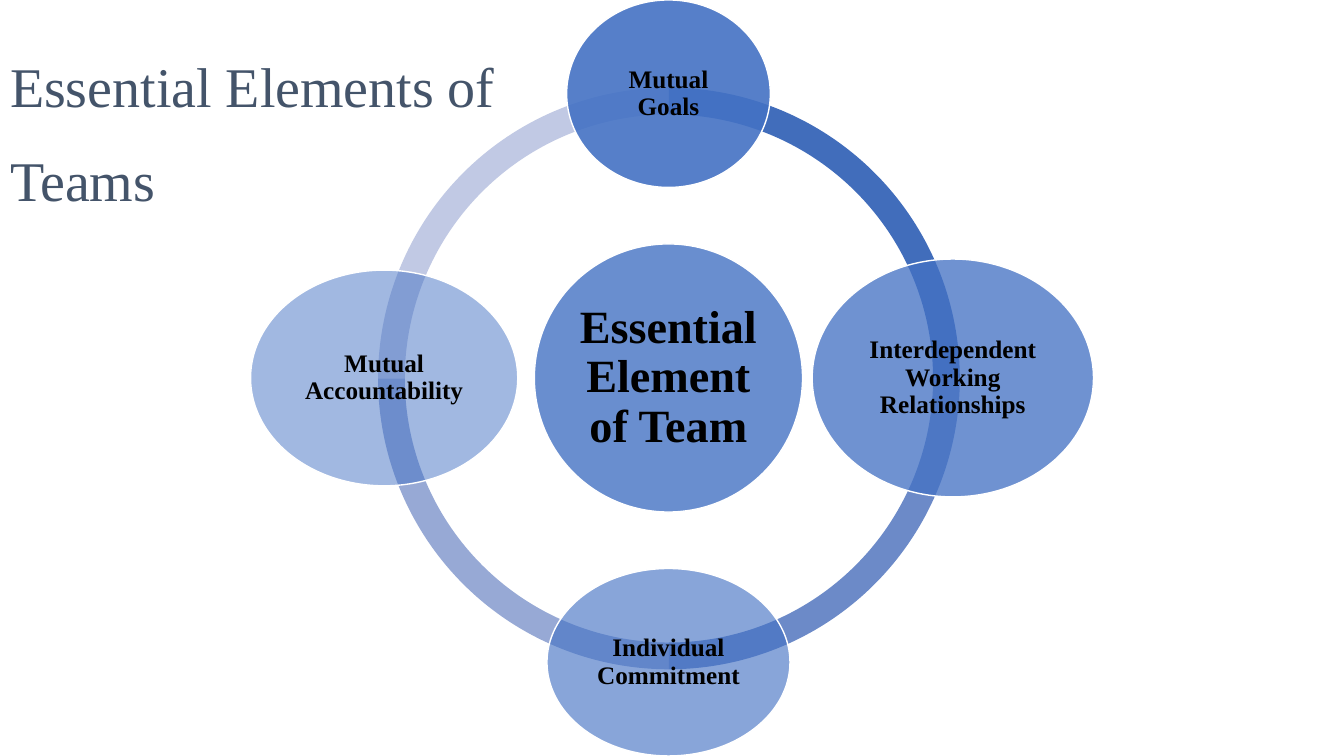
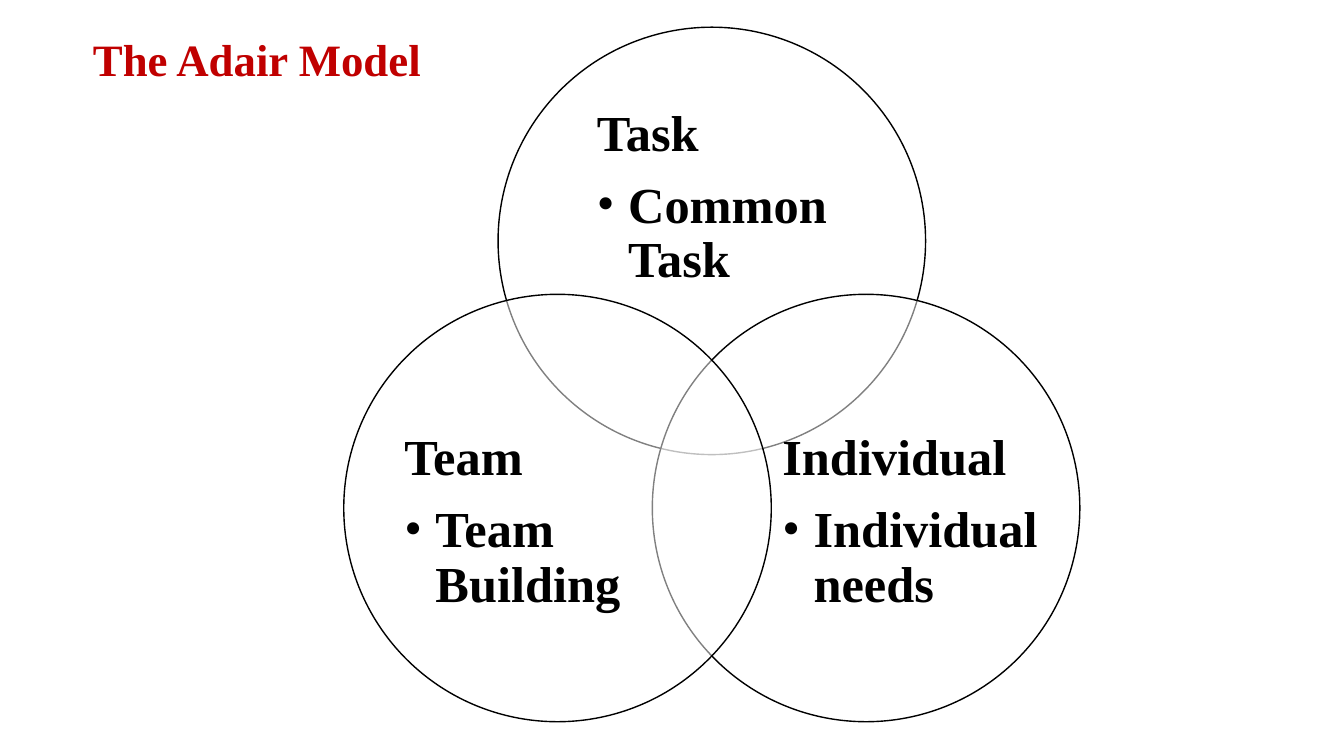
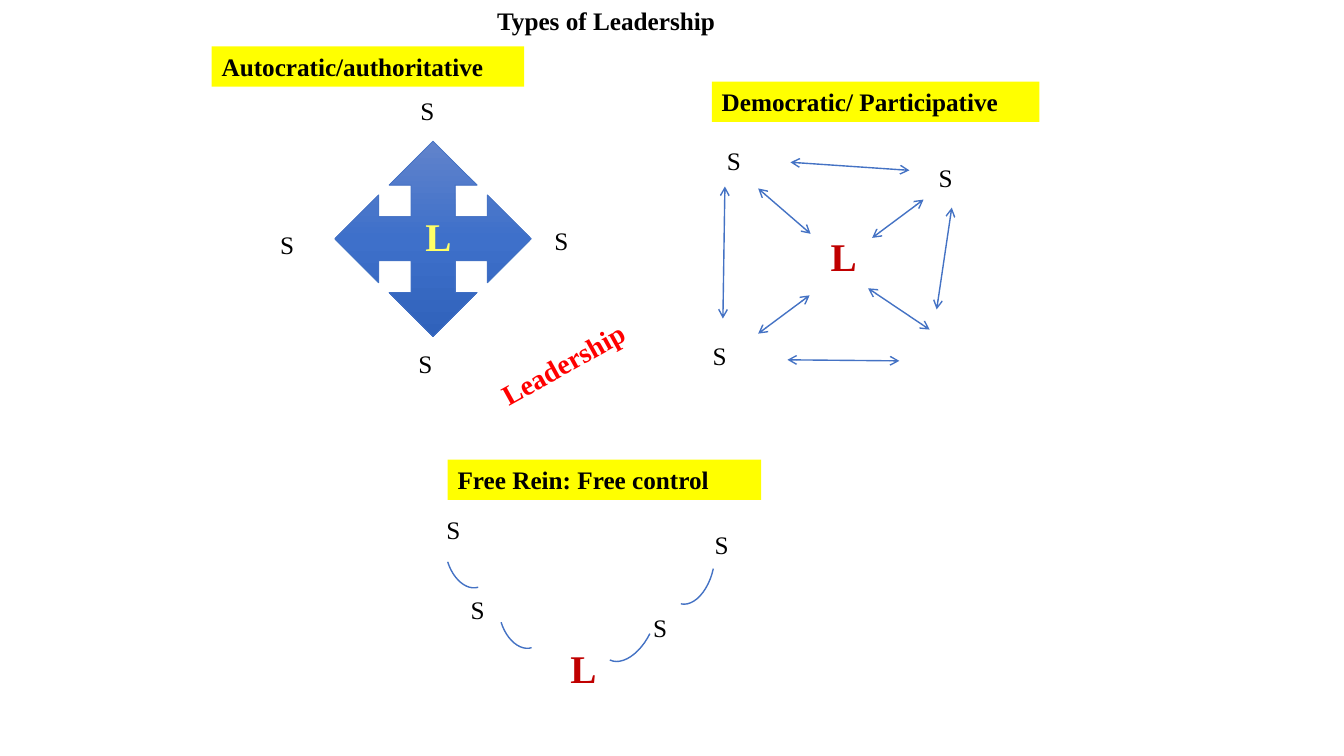
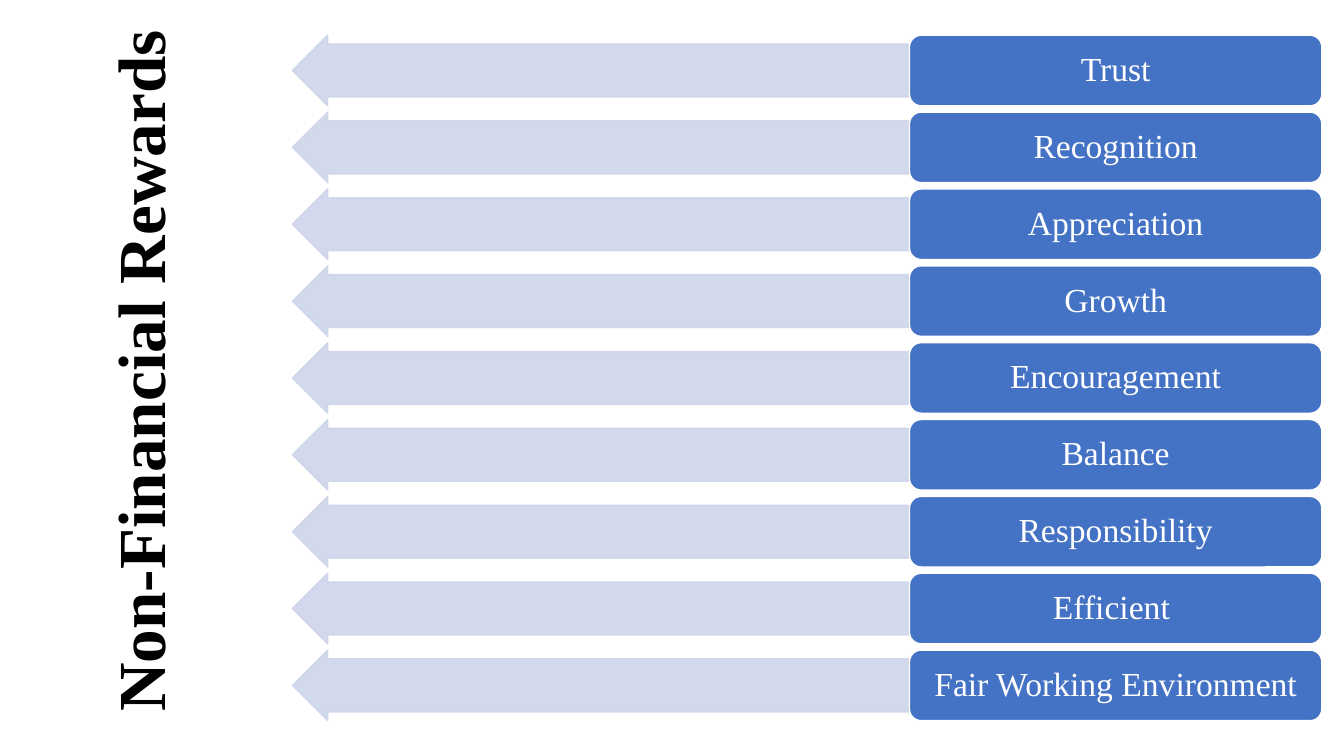
from copy import deepcopy

from lxml.etree import SubElement
from pptx import Presentation
from pptx.dml.color import RGBColor
from pptx.enum.shapes import MSO_CONNECTOR, MSO_SHAPE
from pptx.enum.text import MSO_ANCHOR, MSO_AUTO_SIZE, PP_ALIGN
from pptx.oxml.ns import qn
from pptx.util import Emu, Pt

FONT = "Times New Roman"
BLACK = RGBColor(0x00, 0x00, 0x00)
WHITE = RGBColor(0xFF, 0xFF, 0xFF)
SLATE = RGBColor(0x44, 0x54, 0x6A)
BLUE = RGBColor(0x44, 0x72, 0xC4)
PALE_BLUE = RGBColor(0xCF, 0xD5, 0xEA)
DARK_RED = RGBColor(0xC0, 0x00, 0x00)
RED = RGBColor(0xFF, 0x00, 0x00)
YELLOW = RGBColor(0xFF, 0xFF, 0x00)
LEMON = RGBColor(0xFF, 0xFF, 0x66)
RING_BLUES = (
    RGBColor(0xC1, 0xC9, 0xE4),
    RGBColor(0x97, 0xA9, 0xD5),
    RGBColor(0x6C, 0x8A, 0xC8),
    RGBColor(0x41, 0x6D, 0xBB),
)
ARROW_BLUES = (
    RGBColor(0x61, 0x83, 0xCB),
    RGBColor(0x3E, 0x70, 0xCA),
    RGBColor(0x30, 0x62, 0xBB),
)

EMU_PER_PX = 9144
SLIDE_WIDTH, SLIDE_HEIGHT = 1333, 750
MARGINS = ("margin_left", "margin_top", "margin_right", "margin_bottom")
CENTRED = {"alignment": PP_ALIGN.CENTER}
DENSE = {"line_spacing": 0.9}
MIDDLE = {"vertical_anchor": MSO_ANCHOR.MIDDLE}


def px(*lengths):
    """Turn px lengths into a list of EMU."""
    return [Emu(round(length * EMU_PER_PX)) for length in lengths]


def apply(target, values):
    """Set each named attribute of the target."""
    for name, value in values.items():
        setattr(target, name, value)


def inset(margin):
    """Give the format values of a frame with equal margins."""
    return dict.fromkeys(MARGINS, px(margin)[0])


def write(frame, lines, size, color=BLACK, bold=False, layout=None, paragraph_format=None):
    """Write one paragraph per line in a single style."""
    apply(frame, {"word_wrap": True, "auto_size": MSO_AUTO_SIZE.NONE,
                  "vertical_anchor": MSO_ANCHOR.TOP, **(layout or {})})
    frame.text = "\n".join(lines)
    for paragraph in frame.paragraphs:
        apply(paragraph, {"alignment": PP_ALIGN.LEFT, **(paragraph_format or {})})
        apply(paragraph.font, {"name": FONT, "size": Pt(size), "bold": bold})
        paragraph.font.color.rgb = color


def add_title(deck, lines, box, size, color=BLACK, bold=True, rotation=0, paragraph_format=None):
    """Add a title-only slide and set its title in the box."""
    slide = deck.slides.add_slide(deck.slide_layouts[5])
    title = slide.shapes.title
    apply(title, dict(zip(("left", "top", "width", "height"), px(*box)), rotation=rotation))
    write(title.text_frame, lines, size, color, bold, paragraph_format=paragraph_format)
    return slide


def add_text(slide, text, box, size, color=BLACK, bold=False, rotation=0, paragraph_format=None):
    """Add a text box of one line."""
    label = slide.shapes.add_textbox(*px(*box))
    label.rotation = rotation
    write(label.text_frame, [text], size, color, bold, paragraph_format=paragraph_format)


def set_alpha(fill_parent, percent):
    """Make the solid colour below an element partly transparent."""
    color = fill_parent.find(qn("a:solidFill")).find(qn("a:srgbClr"))
    SubElement(color, qn("a:alpha"), val=str(percent * 1000))


def add_figure(slide, preset, box, fill=None, line=None, width=1, alpha=100, adjustments=()):
    """Add a preset shape with plain fill and outline."""
    figure = slide.shapes.add_shape(preset, *px(*box))
    figure.shadow.inherit = False
    for index, value in enumerate(adjustments):
        figure.adjustments[index] = value
    if fill is None:
        figure.fill.background()
    else:
        figure.fill.solid()
        figure.fill.fore_color.rgb = fill
    if line is None:
        figure.line.fill.background()
    else:
        figure.line.color.rgb = line
        figure.line.width = Pt(width)
    if alpha < 100:
        set_alpha(figure._element.spPr, alpha)
    return figure


def add_ring(slide, box):
    """Draw a ring of four tinted quarter arcs."""
    quarters = ((108, 162), (54, 108), (0, 54), (162, 0))
    for color, angles in zip(RING_BLUES, quarters):
        add_figure(slide, MSO_SHAPE.BLOCK_ARC, box, color, adjustments=(*angles, 0.046))


def add_element(slide, center, size, text, alpha, text_size=18, margin=3):
    """Draw a translucent ellipse with text around a centre point."""
    (x, y), (width, height) = center, size
    box = (x - width / 2, y - height / 2, width, height)
    ellipse = add_figure(slide, MSO_SHAPE.OVAL, box, BLUE, WHITE, alpha=alpha)
    write(ellipse.text_frame, [text], text_size, bold=True,
          layout={**MIDDLE, **inset(margin)}, paragraph_format={**CENTRED, **DENSE})


def build_elements(deck):
    """Build the slide of team elements on a ring."""
    slide = add_title(deck, ["Essential Elements of", "Teams"], (0, 19, 1333, 188), 40, SLATE,
                      bold=False, paragraph_format={"alignment": PP_ALIGN.JUSTIFY, "line_spacing": 1.4})
    add_ring(slide, (375, 87, 577, 577))
    x, y, radius = 663, 375, 282
    add_element(slide, (x, y), (266, 266), "Essential Element of Team", 80, 33, 5)
    around = (
        (0, -1, (202, 186), "Mutual Goals", 90),
        (1, 0, (279, 236), "Interdependent Working Relationships", 77),
        (0, 1, (241, 186), "Individual Commitment", 63),
        (-1, 0, (265, 214), "Mutual Accountability", 50),
    )
    for across, down, size, text, alpha in around:
        add_element(slide, (x + across * radius, y + down * radius), size, text, alpha)


def add_need(slide, left, top, text_box, heading, need):
    """Draw one circle of the model with a heading and a bullet."""
    add_figure(slide, MSO_SHAPE.OVAL, (left, top, 424, 424), WHITE, BLACK, alpha=50)
    dx, dy, width, height = text_box
    frame = slide.shapes.add_textbox(*px(left + dx, top + dy, width, height)).text_frame
    bullet = frame.add_paragraph()
    properties = bullet._p.get_or_add_pPr()
    indent, = px(31)
    properties.set("marL", str(indent))
    properties.set("indent", str(-indent))
    SubElement(properties, qn("a:buFont"), typeface=FONT)
    SubElement(properties, qn("a:buChar"), char="•")
    heading_line = frame.paragraphs[0]
    heading_line.space_after = Pt(12.6)
    apply(frame, {"word_wrap": True, **MIDDLE, **inset(0)})
    for paragraph, text in ((heading_line, heading), (bullet, need)):
        paragraph.line_spacing = 0.9
        run = paragraph.add_run()
        run.text = text
        apply(run.font, {"name": FONT, "size": Pt(36), "bold": True})
        run.font.color.rgb = BLACK


def build_adair(deck):
    """Build the slide of three overlapping circles."""
    slide = add_title(deck, ["The Adair Model"], (81, 26, 348, 64), 32, DARK_RED,
                      paragraph_format=CENTRED)
    x, y, step = 494, 27, 153
    lower = y + 265
    add_need(slide, x, y, (98, 74, 269, 191), "Task", "Common Task")
    add_need(slide, x + step, lower, (129, 110, 254, 233), "Individual", "Individual needs")
    add_need(slide, x - step, lower, (60, 110, 234, 233), "Team", "Team Building")


def add_style_label(slide, text, box):
    """Add the yellow band that names a leadership style."""
    band = add_figure(slide, MSO_SHAPE.RECTANGLE, box, YELLOW)
    write(band.text_frame, [text], 18, bold=True)


def add_people(slide, left, top, leader, subordinates, leader_color=DARK_RED):
    """Place the leader and subordinate letters of a panel."""
    for dx, dy in subordinates:
        add_text(slide, "S", (left + dx, top + dy, 55, 40), 18)
    dx, dy = leader
    add_text(slide, "L", (left + dx, top + dy, 49, 57), 28, leader_color, True)


def add_exchange(slide, start_x, start_y, end_x, end_y):
    """Draw a line with an arrowhead at both ends."""
    exchange = slide.shapes.add_connector(MSO_CONNECTOR.STRAIGHT, *px(start_x, start_y, end_x, end_y))
    exchange.line.color.rgb = BLUE
    exchange.line.width = Pt(1)
    properties = exchange._element.spPr
    outline = properties.find(qn("a:ln"))
    for end in ("a:headEnd", "a:tailEnd"):
        SubElement(outline, qn(end), type="arrow")
    SubElement(properties, qn("a:effectLst"))


def add_autocratic(slide, left, top):
    """Draw the panel with orders going out from the leader."""
    add_style_label(slide, "Autocratic/authoritative", (left, top, 310, 40))
    orders = add_figure(slide, MSO_SHAPE.QUAD_ARROW, (left + 122, top + 94, 195, 194),
                        line=BLUE, width=0.5)
    orders.fill.gradient()
    orders.fill.gradient_angle = 270
    stops = orders._element.spPr.find(qn("a:gradFill")).find(qn("a:gsLst"))
    stops.append(deepcopy(stops[0]))
    for index, (stop, color) in enumerate(zip(orders.fill.gradient_stops, ARROW_BLUES)):
        stop.position = index / 2
        stop.color.rgb = color
    add_people(slide, left, top, (202, 160), ((197, 44), (58, 177), (330, 173), (195, 295)), LEMON)


def add_democratic(slide, left, top):
    """Draw the panel with exchange among all members."""
    add_style_label(slide, "Democratic/ Participative", (left + 9, top, 325, 40))
    add_people(slide, left, top, (117, 145), ((14, 58), (224, 75), (0, 252)))
    exchanges = (
        (168, 155, 219, 117), (107, 151, 55, 106), (164, 205, 225, 246), (55, 250, 106, 212),
        (84, 276, 195, 277), (247, 125, 232, 226), (87, 80, 205, 88), (22, 104, 20, 235),
    )
    for x1, y1, x2, y2 in exchanges:
        add_exchange(slide, left + x1, top + y1, left + x2, top + y2)


def add_free_rein(slide, left, top):
    """Draw the panel with loose links to the leader."""
    add_style_label(slide, "Free Rein: Free control", (left + 11, top, 311, 40))
    add_people(slide, left, top, (123, 178), ((0, 49), (24, 129), (266, 64), (205, 147)))
    links = (
        (149, 138, 82, 48, 116.3), (210, 79, 82, 48, 102.2),
        (63, 122, 43, 66, 162.9), (10, 62, 43, 66, 162.9),
    )
    for dx, dy, width, height, rotation in links:
        link = add_figure(slide, MSO_SHAPE.ARC, (left + dx, top + dy, width, height), line=BLUE)
        link.rotation = rotation


def build_leadership(deck):
    """Build the slide of three leadership styles."""
    slide = add_title(deck, ["Types of Leadership"], (483, 0, 250, 40), 18)
    add_text(slide, "Leadership", (407, 339, 303, 44), 20, RED, True, 331, CENTRED)
    add_autocratic(slide, 210, 46)
    add_democratic(slide, 697, 81)
    add_free_rein(slide, 433, 456)


def add_reward(slide, left, top, text):
    """Draw one reward with its arrow to the left."""
    height, arrow_width = 70, 612
    arrow = add_figure(slide, MSO_SHAPE.LEFT_ARROW, (left, top, arrow_width, height), PALE_BLUE,
                       PALE_BLUE, alpha=90, adjustments=(0.75, 0.5))
    set_alpha(arrow._element.spPr.find(qn("a:ln")), 90)
    reward = add_figure(slide, MSO_SHAPE.ROUNDED_RECTANGLE,
                        (left + arrow_width, top, 409, height), BLUE, WHITE)
    write(reward.text_frame, [text], 24, WHITE, layout=MIDDLE,
          paragraph_format={**CENTRED, **DENSE})


def build_rewards(deck):
    """Build the slide of rewards in equal rows."""
    slide = add_title(deck, ["Non-Financial Rewards"], (-214, 319, 703, 91), 48, rotation=270)
    rewards = ("Trust", "Recognition", "Appreciation", "Growth", "Encouragement", "Balance",
               "Responsibility", "Efficient ", "Fair Working Environment")
    first, last = 35, 645
    pitch = (last - first) / (len(rewards) - 1)
    for row, reward in enumerate(rewards):
        add_reward(slide, 290, first + row * pitch, reward)


def main():
    """Build and save the deck."""
    deck = Presentation()
    deck.slide_width, deck.slide_height = px(SLIDE_WIDTH, SLIDE_HEIGHT)
    for build in (build_elements, build_adair, build_leadership, build_rewards):
        build(deck)
    deck.save("out.pptx")


if __name__ == "__main__":
    main()
